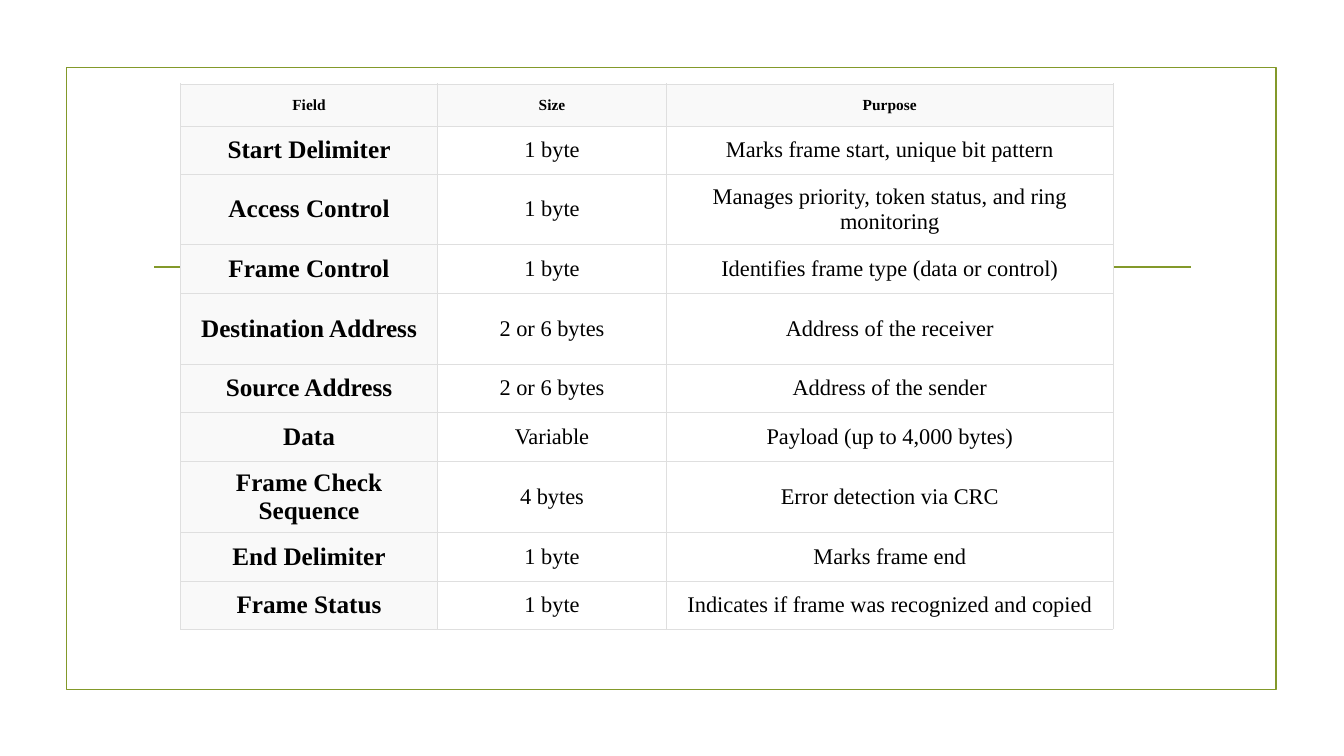
import lxml.etree
import pptx
import pptx.dml.color
import pptx.enum.shapes
import pptx.enum.text
import pptx.oxml.ns
import pptx.util

COLORS = {"olive": "83992A", "grid": "DFDFDF", "label": "F9F9F9", "body": "FFFFFF", "text": "000000"}
FONT = "Times New Roman"
SLIDE_SIZE = (13.33, 7.5)
FRAME_BOX = (0.66, 0.67, 12, 6.17)
RULE_BOX = (1.53, 2.65, 10.28, 0)
TABLE_BOX = (1.79, 0.83, 9.25, 5.41)
COLUMN_WIDTHS = (2.55, 2.27, 4.43)
HEADER_HEIGHT, ROW_HEIGHT = 0.42, 0.48
TALL_ROWS = {"Access Control": 0.69, "Destination Address": 0.71, "Frame Check Sequence": 0.71}

FRAME_FIELDS = [
    ("Field", "Size", "Purpose"),
    ("Start Delimiter", "1 byte", "Marks frame start, unique bit pattern"),
    ("Access Control", "1 byte", "Manages priority, token status, and ring monitoring"),
    ("Frame Control", "1 byte", "Identifies frame type (data or control)"),
    ("Destination Address", "2 or 6 bytes", "Address of the receiver"),
    ("Source Address", "2 or 6 bytes", "Address of the sender"),
    ("Data", "Variable", "Payload (up to 4,000 bytes)"),
    ("Frame Check Sequence", "4 bytes", "Error detection via CRC"),
    ("End Delimiter", "1 byte", "Marks frame end"),
    ("Frame Status", "1 byte", "Indicates if frame was recognized and copied"),
]

CELL_STYLES = {
    "header": {"size": 11, "bold": True, "fill": "label", "side": 0.07, "top": 0.07},
    "label": {"size": 18, "bold": True, "fill": "label", "side": 0.03, "top": 0.05},
    "body": {"size": 16, "bold": False, "fill": "body", "side": 0.07, "top": 0.1},
}


def rgb(name):
    """Return the palette colour with the given name."""
    return pptx.dml.color.RGBColor.from_string(COLORS[name])


def inches(values):
    """Convert a sequence of lengths to inches."""
    return [pptx.util.Inches(value) for value in values]


def apply_format(target, values):
    """Set each attribute of the target from a dict of values."""
    for attribute, value in values.items():
        setattr(target, attribute, value)


def add_frame(slide, box):
    """Draw the outlined border in the given box."""
    frame = slide.shapes.add_shape(pptx.enum.shapes.MSO_SHAPE.RECTANGLE, *inches(box))
    frame.shadow.inherit = False
    frame.fill.background()
    frame.line.color.rgb = rgb("olive")
    frame.line.width = pptx.util.Pt(1.25)


def add_rule(slide, box):
    """Draw the horizontal rule across the given box."""
    left, top, width, height = box
    ends = inches((left, top, left + width, top + height))
    rule = slide.shapes.add_connector(pptx.enum.shapes.MSO_CONNECTOR.STRAIGHT, *ends)
    rule.line.color.rgb = rgb("olive")
    rule.line.width = pptx.util.Pt(1.25)
    lxml.etree.SubElement(rule._element.spPr, pptx.oxml.ns.qn("a:effectLst"))


def add_borders(cell):
    """Put thin grid lines on all four sides of a cell."""
    properties = cell._tc.get_or_add_tcPr()
    for position, side in enumerate(("lnL", "lnR", "lnT", "lnB")):
        border = lxml.etree.Element(pptx.oxml.ns.qn(f"a:{side}"), w=str(pptx.util.Pt(0.23)))
        fill = lxml.etree.SubElement(border, pptx.oxml.ns.qn("a:solidFill"))
        lxml.etree.SubElement(fill, pptx.oxml.ns.qn("a:srgbClr"), val=COLORS["grid"])
        properties.insert(position, border)


def fill_cell(cell, content, style):
    """Write the content into a cell and format it in the given style."""
    side, top = inches((style["side"], style["top"]))
    apply_format(cell, {
        "text": content,
        "vertical_anchor": pptx.enum.text.MSO_ANCHOR.MIDDLE,
        "margin_left": side, "margin_right": side,
        "margin_top": top, "margin_bottom": top,
    })
    cell.fill.solid()
    cell.fill.fore_color.rgb = rgb(style["fill"])
    paragraph = cell.text_frame.paragraphs[0]
    paragraph.alignment = pptx.enum.text.PP_ALIGN.CENTER
    font = paragraph.runs[0].font
    apply_format(font, {"name": FONT, "size": pptx.util.Pt(style["size"]), "bold": style["bold"]})
    font.color.rgb = rgb("text")
    add_borders(cell)


def add_field_table(slide, box):
    """Place the table of frame fields in the given box."""
    table = slide.shapes.add_table(len(FRAME_FIELDS), len(COLUMN_WIDTHS), *inches(box)).table
    apply_format(table, {"first_row": False, "horz_banding": False})
    for column, width in zip(table.columns, inches(COLUMN_WIDTHS)):
        column.width = width
    for row_number, field in enumerate(FRAME_FIELDS):
        height = TALL_ROWS.get(field[0], ROW_HEIGHT) if row_number else HEADER_HEIGHT
        table.rows[row_number].height = pptx.util.Inches(height)
        for column_number, content in enumerate(field):
            role = "header" if row_number == 0 else "body" if column_number else "label"
            fill_cell(table.cell(row_number, column_number), content, CELL_STYLES[role])


def main():
    """Build the slide and save it."""
    deck = pptx.Presentation()
    deck.slide_width, deck.slide_height = inches(SLIDE_SIZE)
    slide = deck.slides.add_slide(deck.slide_layouts[6])
    add_frame(slide, FRAME_BOX)
    add_rule(slide, RULE_BOX)
    add_field_table(slide, TABLE_BOX)
    deck.save("out.pptx")


if __name__ == "__main__":
    main()
